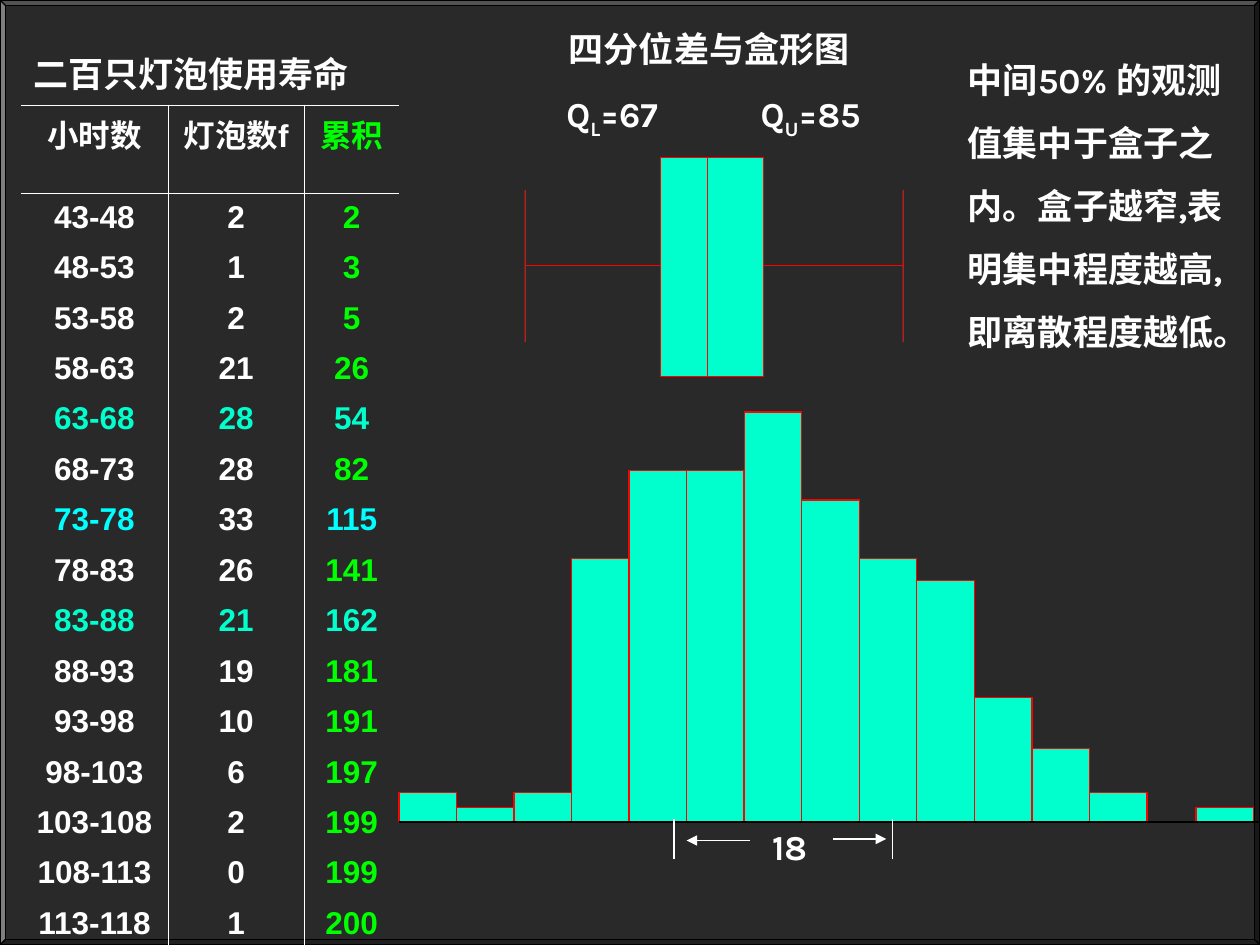
from itertools import accumulate

from lxml.etree import SubElement
from pptx import Presentation
from pptx.dml.color import RGBColor
from pptx.enum.shapes import MSO_CONNECTOR as CONN, MSO_SHAPE as SHAPE
from pptx.enum.text import MSO_AUTO_SIZE as FIT, PP_ALIGN as ALIGN
from pptx.oxml.ns import qn
from pptx.util import Inches, Pt

WHITE, GREEN, MINT, CYAN, RED = "FFFFFF", "00FF00", "00FFCC", "00FFFF", "FF0000"
BLACK, DARK = "000000", "292929"
CELLS_PER_INCH = 12


def grid(n):
    return Inches(n / CELLS_PER_INCH)


def rgb(value):
    return RGBColor.from_string(value)


class Board:
    font, size = "Karla", 20
    line_width, hairline, border = 0.74, 0.26, 0.45

    def __init__(self, slide):
        self.slide = slide
        self.shapes = slide.shapes

    def paint(self, sp, fill, line, width):
        sp.shadow.inherit = False
        sp.fill.solid()
        sp.fill.fore_color.rgb = rgb(fill)
        sp.line.color.rgb = rgb(line)
        sp.line.width = Pt(width)
        return sp

    def box(self, x, y, w, h, fill=MINT, line=RED, width=line_width, kind=SHAPE.RECTANGLE):
        sp = self.shapes.add_shape(kind, grid(x), grid(y), grid(w), grid(h))
        return self.paint(sp, fill, line, width)

    def strokes(self, segments, width=hairline):
        builder = None
        for start, end in segments:
            a, b = [tuple(grid(n) for n in pt) for pt in (start, end)]
            if builder is None:
                builder = self.shapes.build_freeform(*a)
            else:
                builder.move_to(*a)
            builder.add_line_segments([b], close=False)
        return self.paint(builder.convert_to_shape(), MINT, RED, width)

    def line(self, x1, y1, x2, y2, color=WHITE, width=line_width, arrow=False):
        cn = self.shapes.add_connector(CONN.STRAIGHT, grid(x1), grid(y1), grid(x2), grid(y2))
        cn.line.color.rgb = rgb(color)
        cn.line.width = Pt(width)
        if arrow:
            SubElement(cn.line._get_or_add_ln(), qn("a:tailEnd"), type="triangle")
        SubElement(cn._element.spPr, qn("a:effectLst"))

    def run(self, p, text, color=WHITE, size=size, font=font, base=0):
        r = p.add_run()
        r.text = text
        r.font.size, r.font.name, r.font.bold = Pt(size), font, True
        r.font.color.rgb = rgb(color)
        if base:
            r.font._element.set("baseline", str(base * 1000))

    def text(self, x, y, w, h, runs, align=ALIGN.LEFT, before=12.5, spacing=1.0):
        tf = self.shapes.add_textbox(grid(x), grid(y), grid(w), grid(h)).text_frame
        tf.word_wrap, tf.auto_size = True, FIT.SHAPE_TO_FIT_TEXT
        p = tf.paragraphs[0]
        p.alignment, p.space_before, p.line_spacing = align, Pt(before), spacing
        for text, base in runs:
            self.run(p, text, base=base)

    def cell(self, cell, text, color, sides):
        p = cell.text_frame.paragraphs[0]
        p.alignment, p.space_before = ALIGN.CENTER, Pt(4.5)
        self.run(p, text, color, 18, "Arial")
        tc_pr = cell._tc.get_or_add_tcPr()
        for side in "LRTB":
            ln = SubElement(tc_pr, qn("a:ln" + side), w=str(Pt(self.border)))
            if side in sides:
                SubElement(SubElement(ln, qn("a:solidFill")), qn("a:srgbClr"), val=WHITE)
            else:
                SubElement(ln, qn("a:noFill"))
        cell.fill.background()

    def table(self, x, y, widths, heights, rows):
        frame = self.shapes.add_table(len(rows), len(widths), grid(x), grid(y),
                                      grid(sum(widths)), grid(sum(heights)))
        tbl = frame.table
        tbl.first_row = tbl.horz_banding = False
        for col, w in zip(tbl.columns, widths):
            col.width = grid(w)
        for row, h in zip(tbl.rows, heights):
            row.height = grid(h)
        last_row, last_col = len(rows) - 1, len(widths) - 1
        for i, row in enumerate(rows):
            for j, (text, color) in enumerate(row):
                sides = ("L" if j else "") + ("R" if j < last_col else "")
                sides += ("T" if i < 2 else "") + ("B" if i in (0, last_row) else "")
                self.cell(tbl.cell(i, j), text, color, sides)


prs = Presentation()
prs.slide_width, prs.slide_height = Inches(10), Inches(7.5)
s = Board(prs.slides.add_slide(prs.slide_layouts[6]))

frame = s.box(0, 0, 120, 90, DARK, BLACK, kind=SHAPE.BEVEL)
frame.adjustments[0] = 0.006

LEFT, BASE, BAR, UNIT = 38, 78.28, 5.48, 1.394
bar_heights = [2, 1, 2, 18, 24, 24, 28, 22, 18, 16.5, 8.5, 5, 2]
bars = [(LEFT + i * BAR, h) for i, h in enumerate(bar_heights)] + [(113.9, 1)]
for x, h in bars:
    s.box(x, BASE - h * UNIT, BAR, h * UNIT)
s.line(LEFT, BASE, 120, BASE, BLACK)

s.line(79.3, 79.9, 84.4, 79.9, arrow=True)
s.line(71.4, 80.05, 65.4, 80.05, arrow=True)
s.text(70, 78, 10.4, 5.3, [("18", 0)], ALIGN.CENTER)
for x in (85, 64.2):
    s.line(x, 81.8, x, 78)

s.text(53, 2, 32, 5.3, [("四分位差与盒形图", 0)])
s.text(91, 3, 27, 37.2, [("中间50% 的观测值集中于盒子之内。盒子越窄,表明集中程度越高,即离散程度越低。".replace(",", ","), 0)],
       spacing=1.5)

LOW, Q_LOW, MEDIAN, Q_HIGH, HIGH = 50, 62.9, 67.4, 72.7, 86
TOP, MIDDLE, BOTTOM = 18.1, 25.3, 32.6
s.strokes([((HIGH, TOP), (HIGH, BOTTOM)), ((Q_HIGH, MIDDLE), (HIGH, MIDDLE)),
           ((LOW, TOP), (LOW, BOTTOM)), ((Q_LOW, MIDDLE), (LOW, MIDDLE))])
s.box(Q_LOW, 15, Q_HIGH - Q_LOW, 20.8, width=s.hairline)
s.line(MEDIAN, 35.8, MEDIAN, 15, RED, s.hairline)

for x, w, sub, value in ((70.4, 13.6, "U", "=85"), (51, 14.6, "L", "=67")):
    s.text(x, 8.2, w, 5.8, [("Q", 0), (sub, -25), (value, 0)], ALIGN.CENTER)

s.text(2, 4, 33, 5.6, [("二百只灯泡使用寿命", 0)], before=0, spacing=1.1)

counts = [2, 1, 2, 21, 28, 28, 33, 26, 21, 19, 10, 6, 2, 0, 1]
highlights = {4: (MINT, MINT, MINT), 6: (CYAN, WHITE, CYAN), 8: (MINT, MINT, MINT)}
rows = [[("小时数", WHITE), ("灯泡数f", WHITE), ("累积", GREEN)]]
for i, (count, total) in enumerate(zip(counts, accumulate(counts))):
    start = 43 + 5 * i
    texts = (f"{start}-{start + 5}", str(count), str(total))
    rows.append(list(zip(texts, highlights.get(i, (WHITE, WHITE, GREEN)))))
s.table(2, 10, [14, 13, 9], [8.4] + [4.8] * len(counts), rows)

prs.save("out.pptx")
